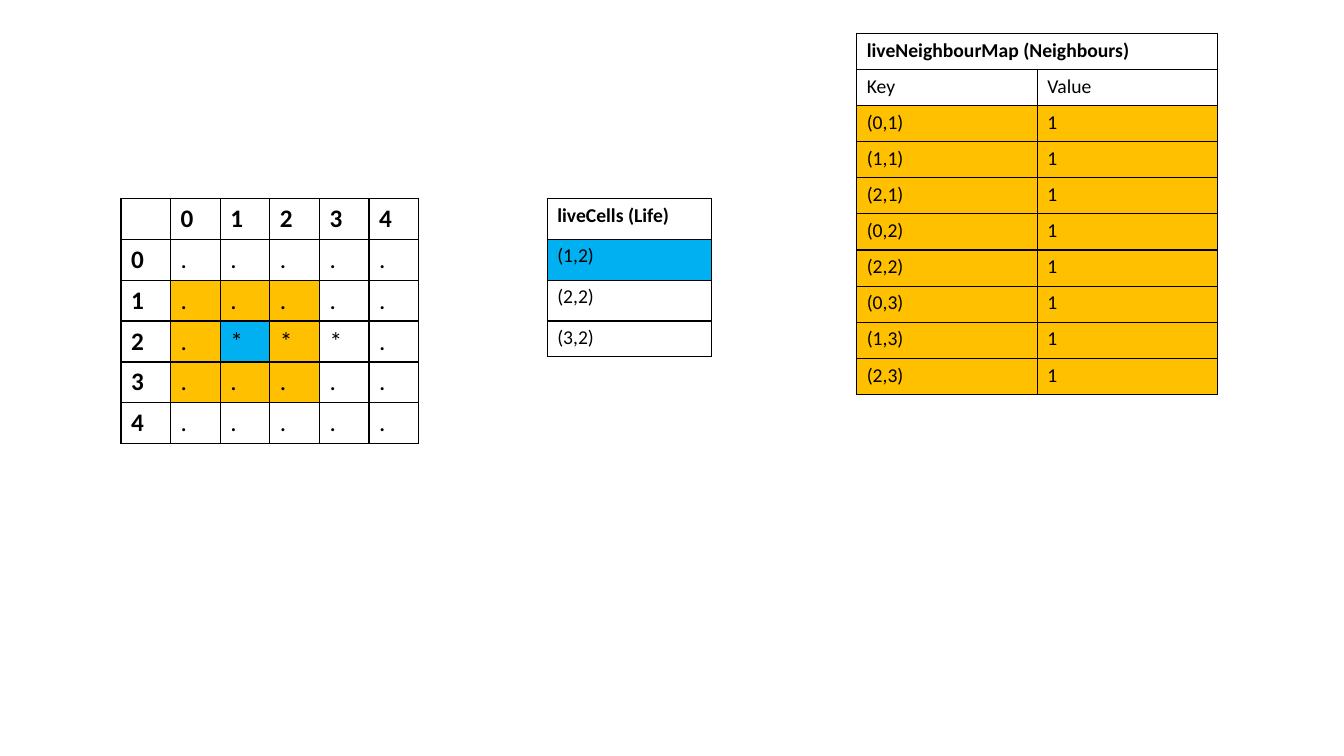
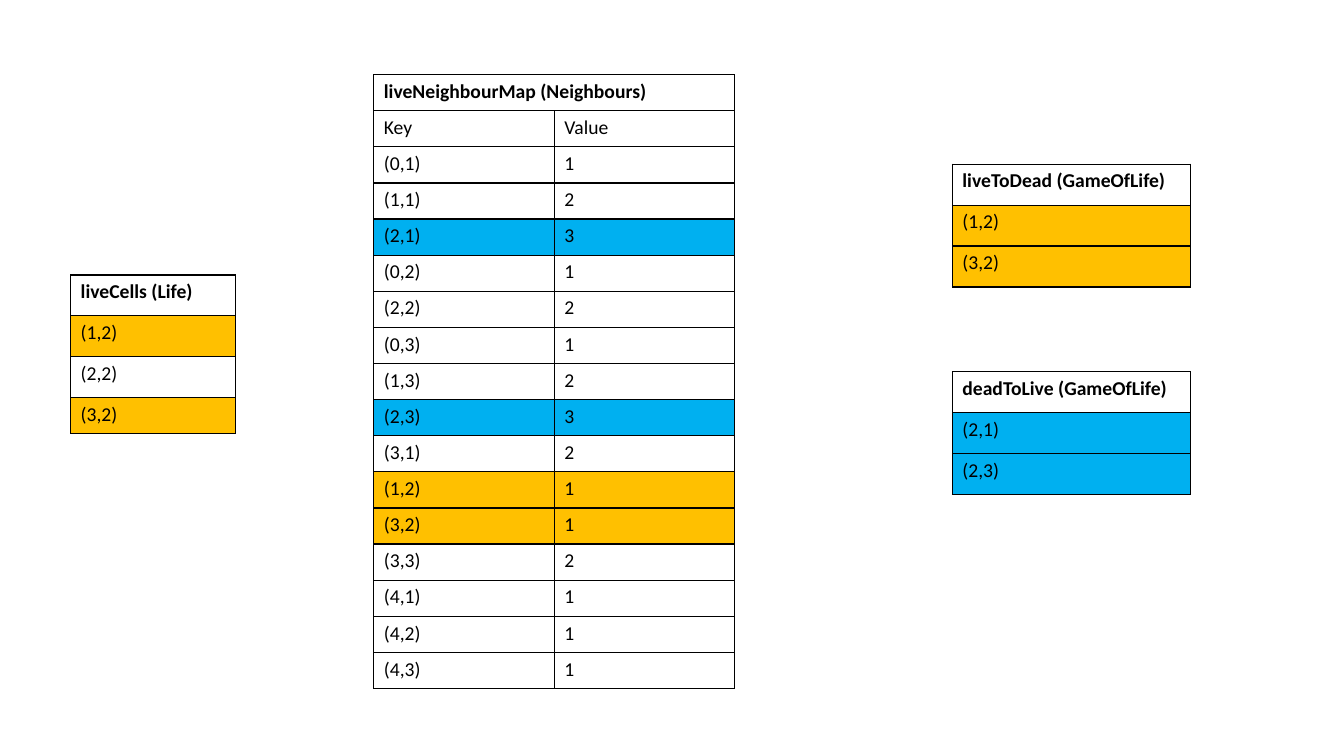
"""Build two slides of tables that trace one generation of the Game of Life."""
from lxml import etree
from pptx import Presentation
from pptx.dml.color import RGBColor
from pptx.oxml import ns
from pptx.util import Cm, Pt

BLACK = RGBColor(0x00, 0x00, 0x00)
GOLD = RGBColor(0xFF, 0xC0, 0x00)
BLUE = RGBColor(0x00, 0xB0, 0xF0)
FONT = "Calibri"

WORLD = [".....", ".....", ".***.", ".....", "....."]
LIVE_CELLS = ["(1,2)", "(2,2)", "(3,2)"]
FIRST_NEIGHBOURS = ["(0,1)", "(1,1)", "(2,1)", "(0,2)", "(2,2)", "(0,3)", "(1,3)", "(2,3)"]
FIRST_COUNTS = {key: "1" for key in FIRST_NEIGHBOURS}
FINAL_COUNTS = {
    "(0,1)": "1", "(1,1)": "2", "(2,1)": "3", "(0,2)": "1", "(2,2)": "2",
    "(0,3)": "1", "(1,3)": "2", "(2,3)": "3", "(3,1)": "2", "(1,2)": "1",
    "(3,2)": "1", "(3,3)": "2", "(4,1)": "1", "(4,2)": "1", "(4,3)": "1",
}
DYING = ["(1,2)", "(3,2)"]
BORN = ["(2,1)", "(2,3)"]

FIRST_FILLS = {**dict.fromkeys(FIRST_NEIGHBOURS, GOLD), "(1,2)": BLUE}
FINAL_FILLS = {**dict.fromkeys(DYING, GOLD), **dict.fromkeys(BORN, BLUE)}

ROW, SHORT_ROW, MAP_ROW = 1.03, 0.9, 0.91
WORLD_COLUMN, LIVE_COLUMN, MAP_COLUMN, CHANGE_COLUMN = 1.25, 4.15, 4.55, 6


def add_borders(cell):
    properties = cell._tc.get_or_add_tcPr()
    for side in ("lnL", "lnR", "lnT", "lnB"):
        line = etree.SubElement(properties, ns.qn(f"a:{side}"), w=str(Pt(1)))
        fill = etree.SubElement(line, ns.qn("a:solidFill"))
        etree.SubElement(fill, ns.qn("a:srgbClr"), val=str(BLACK))


def style_cell(cell, content, size, bold, fill):
    add_borders(cell)
    if fill is None:
        cell.fill.background()
    else:
        cell.fill.solid()
        cell.fill.fore_color.rgb = fill
    cell.text_frame.text = content
    font = cell.text_frame.paragraphs[0].font
    for run in cell.text_frame.paragraphs[0].runs:
        font = run.font
    font.name, font.size, font.bold = FONT, Pt(size), bold
    font.color.rgb = BLACK


def add_grid(slide, corner, column_width, heights, rows, fills, size=14, bold_column=False):
    left, top = corner
    columns = len(rows[0])
    grid = slide.shapes.add_table(
        len(rows), columns, Cm(left), Cm(top),
        Cm(column_width * columns), Cm(sum(heights))).table
    grid.first_row = grid.horz_banding = False
    for column in grid.columns:
        column.width = Cm(column_width)
    for r, (height, row) in enumerate(zip(heights, rows)):
        grid.rows[r].height = Cm(height)
        for c, content in enumerate(row):
            bold = r == 0 or (bold_column and c == 0)
            style_cell(grid.cell(r, c), content, size, bold, fills.get((r, c)))
    return grid


def add_world(slide, corner, fills):
    numbers = [str(n) for n in range(len(WORLD))]
    rows = [["", *numbers]] + [[n, *cells] for n, cells in zip(numbers, WORLD)]
    placed = {(y + 1, x + 1): fills.get(f"({x},{y})")
              for y, cells in enumerate(WORLD) for x in range(len(cells))}
    add_grid(slide, corner, WORLD_COLUMN, [ROW] * len(rows), rows, placed, 18, True)


def add_cell_list(slide, corner, column_width, heading, keys, fills, last_row=ROW):
    rows = [[heading]] + [[key] for key in keys]
    placed = {(r, 0): fills.get(key) for r, key in enumerate(keys, 1)}
    add_grid(slide, corner, column_width, [ROW] * len(keys) + [last_row], rows, placed)


def add_neighbour_map(slide, corner, counts, fills):
    rows = [["liveNeighbourMap (Neighbours)", ""], ["Key", "Value"], *counts.items()]
    placed = {(r, c): fills.get(key) for r, key in enumerate(counts, 2) for c in range(2)}
    grid = add_grid(slide, corner, MAP_COLUMN, [MAP_ROW] * len(rows), rows, placed)
    grid.cell(0, 0).merge(grid.cell(0, 1))


def add_live_cells(slide, corner, fills):
    add_cell_list(slide, corner, LIVE_COLUMN, "liveCells (Life)", LIVE_CELLS, fills, SHORT_ROW)


deck = Presentation()
deck.slide_width, deck.slide_height = Cm(33.87), Cm(19.05)
blank = deck.slide_layouts[6]

first_cell = deck.slides.add_slide(blank)
add_world(first_cell, (3.05, 5), FIRST_FILLS)
add_live_cells(first_cell, (13.79, 5), {"(1,2)": BLUE})
add_neighbour_map(first_cell, (21.59, 0.84), FIRST_COUNTS, FIRST_FILLS)

changes = deck.slides.add_slide(blank)
add_live_cells(changes, (1.78, 6.93), FINAL_FILLS)
add_neighbour_map(changes, (9.42, 1.88), FINAL_COUNTS, FINAL_FILLS)
for heading, keys, top in (("liveToDead (GameOfLife)", DYING, 4.14),
                           ("deadToLive (GameOfLife)", BORN, 9.37)):
    add_cell_list(changes, (24, top), CHANGE_COLUMN, heading, keys, FINAL_FILLS)

deck.save("out.pptx")
